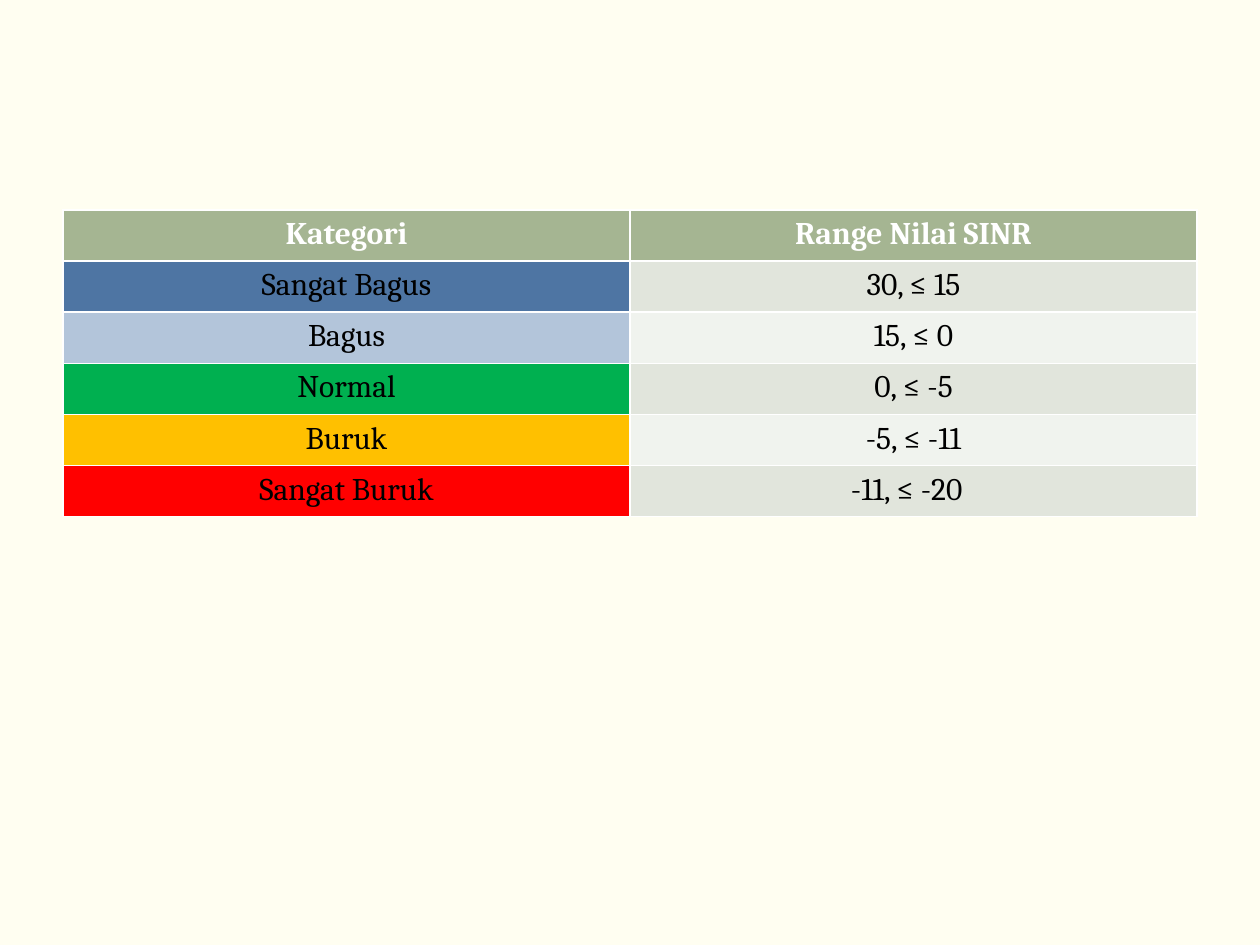
from pptx import Presentation
from pptx.dml.color import RGBColor
from pptx.enum.text import PP_ALIGN
from pptx.util import Pt

CENTER = PP_ALIGN.CENTER
HUES = {
    "back": "FFFEF1", "head": "A5B592", "white": "FFFFFF", "black": "000000",
    "odd": "E1E5DC", "even": "F0F3EE", "blue": "4E75A3", "pale": "B3C5DA",
    "green": "00B050", "amber": "FFC000", "red": "FF0000",
}
HEAD = ("Kategori", "Range Nilai SINR")
ROWS = [
    ("Sangat Bagus", "30, ≤ 15", "blue"),
    ("Bagus", "15, ≤ 0", "pale"),
    ("Normal", "0, ≤ -5", "green"),
    ("Buruk", "-5, ≤ -11", "amber"),
    ("Sangat Buruk", "-11, ≤ -20", "red"),
]


class Deck:
    """Hold the text style and the current slide."""

    def __init__(self, slide, font, size):
        self.slide, self.font, self.size = slide, font, size

    def hue(self, name):
        return RGBColor.from_string(HUES[name])

    def back(self, name):
        fill = self.slide.background.fill
        fill.solid()
        fill.fore_color.rgb = self.hue(name)

    def cell(self, cell, text, fill, ink="black", bold=False):
        cell.fill.solid()
        cell.fill.fore_color.rgb = self.hue(fill)
        cell.text = text
        para = cell.text_frame.paragraphs[0]
        para.alignment = CENTER
        font = para.font
        font.name, font.size, font.bold = self.font, Pt(self.size), bold
        font.color.rgb = self.hue(ink)

    def table(self, left, top, width, step, head, rows):
        count = len(rows) + 1
        table = self.slide.shapes.add_table(
            count, len(head), Pt(left), Pt(top), Pt(width), Pt(step * count)
        ).table
        for row in table.rows:
            row.height = Pt(step)
        for col, text in enumerate(head):
            self.cell(table.cell(0, col), text, "head", "white", True)
        for row, (name, span, fill) in enumerate(rows, 1):
            self.cell(table.cell(row, 0), name, fill)
            self.cell(table.cell(row, 1), span, "odd" if row % 2 else "even")
        return table


def main():
    show = Presentation()
    show.slide_width, show.slide_height = Pt(720), Pt(540)
    deck = Deck(show.slides.add_slide(show.slide_layouts[6]), "Cambria", 18)
    deck.back("back")
    table = deck.table(36, 120, 648, 29.2, HEAD, ROWS)
    table.cell(len(ROWS), 1).margin_right = Pt(15)
    show.save("out.pptx")


if __name__ == "__main__":
    main()
